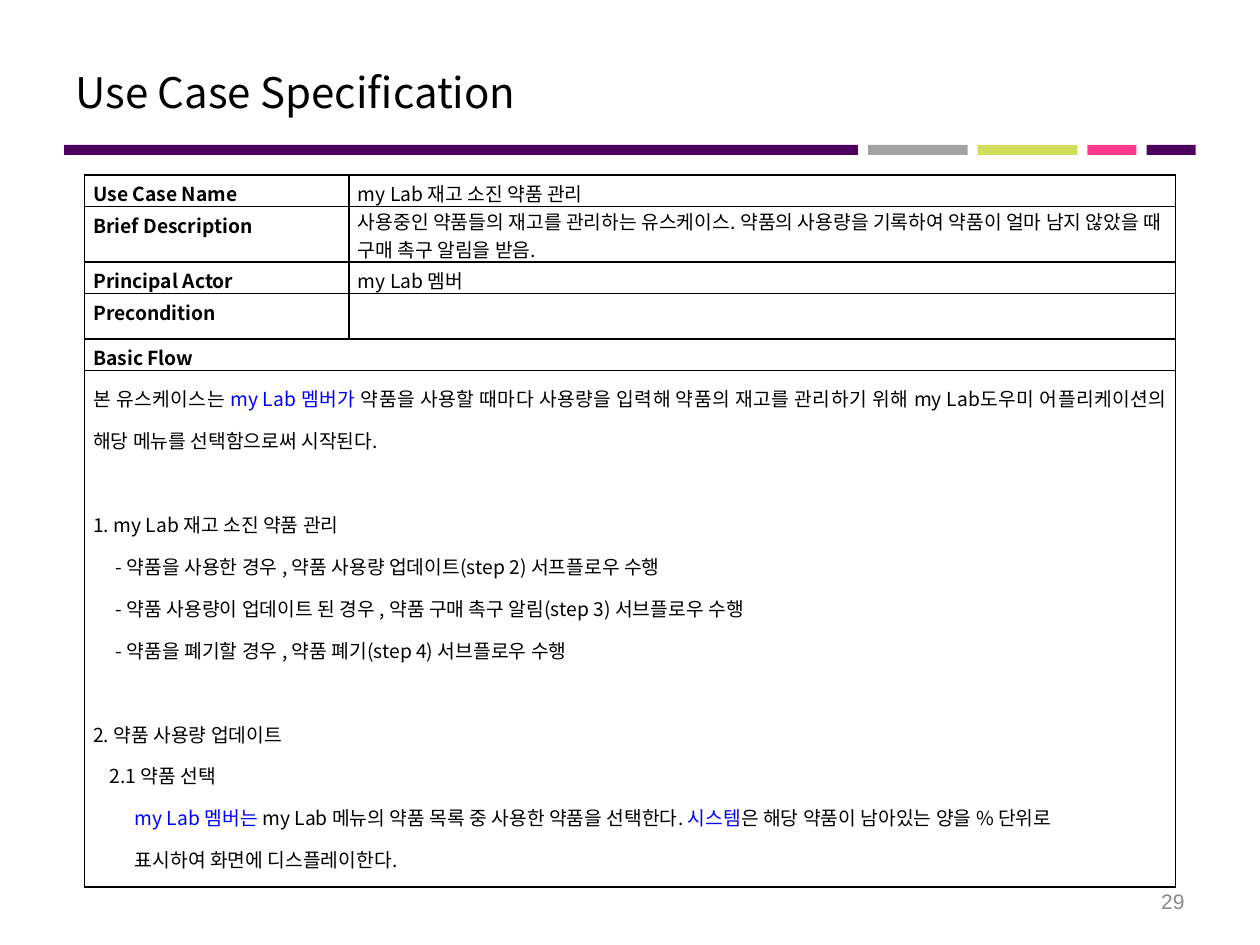
from dataclasses import dataclass

from lxml.etree import SubElement
from pptx import Presentation
from pptx.dml.color import RGBColor
from pptx.enum.shapes import MSO_SHAPE
from pptx.enum.text import MSO_ANCHOR, PP_ALIGN
from pptx.oxml.ns import qn
from pptx.util import Inches, Pt


@dataclass(frozen=True)
class Theme:
    font: str = "Noto Sans CJK KR"
    number_font: str = "Arial"
    title_size: int = 24
    body_size: int = 11
    number_size: int = 12
    black: str = "000000"
    white: str = "FFFFFF"
    blue: str = "0000FF"
    gray: str = "898989"
    purple: str = "4E005F"
    silver: str = "A3A3A3"
    lime: str = "D1DD5B"
    pink: str = "FF388C"


THEME = Theme()

# Content
TITLE = "Use Case Specification"
PAGE_NUMBER = "29"
BARS = [(6.3, THEME.purple), (0.79, THEME.silver), (0.79, THEME.lime),
        (0.39, THEME.pink), (0.39, THEME.purple)]
# Label, value, row height, value format
FIELDS = [
    ("Use Case Name", "my Lab 재고 소진 약품 관리", 0.25, {}),
    ("Brief Description",
     "사용중인 약품들의 재고를 관리하는 유스케이스. 약품의 사용량을 기록하여 "
     "약품이 얼마 남지 않았을 때 구매 촉구 알림을 받음.", 0.44,
     {"align": PP_ALIGN.LEFT, "spacing": 1.0}),
    ("Principal Actor", "my Lab 멤버", 0.25, {}),
    ("Precondition", "", 0.36, {}),
]
FLOW_HEADING, FLOW_HEADING_HEIGHT, FLOW_HEIGHT = "Basic Flow", 0.25, 4.1
# Spans (text or text with colour), left indent in inches, space before in points
FLOW = [
    (["본 유스케이스는 ", ("my Lab 멤버가 ", THEME.blue),
      "약품을 사용할 때마다 사용량을 입력해 약품의 재고를 관리하기 위해 "
      "my Lab도우미 어플리케이션의 해당 메뉴를 선택함으로써 시작된다."], 0, 0),
    (["1. my Lab 재고 소진 약품 관리"], 0, 24),
    (["- 약품을 사용한 경우 , 약품 사용량 업데이트(step 2) 서프플로우 수행"], 0.18, 0),
    (["- 약품 사용량이 업데이트 된 경우 , 약품 구매 촉구 알림(step 3) 서브플로우 수행"], 0.18, 0),
    (["- 약품을 폐기할 경우 , 약품 폐기(step 4) 서브플로우 수행"], 0.18, 0),
    (["2. 약품 사용량 업데이트"], 0, 24),
    (["2.1 약품 선택"], 0.13, 0),
    ([("my Lab 멤버는 ", THEME.blue),
      "my Lab 메뉴의 약품 목록 중 사용한 약품을 선택한다. ",
      ("시스템", THEME.blue), "은 해당 약품이 남아있는 양을 % 단위로"], 0.33, 0),
    (["표시하여 화면에 디스플레이한다."], 0.33, 0),
]


def write(para, spans, *, size=THEME.body_size, font=THEME.font, color=THEME.black,
          bold=False, align=PP_ALIGN.JUSTIFY, spacing=1.15, indent=0, before=0):
    """Fill a paragraph with spans, each a text or a (text, colour) pair."""
    para.alignment = align
    para.line_spacing = spacing
    para.space_before = Pt(before)
    para.font.size = Pt(size)
    if indent:
        para._p.get_or_add_pPr().set("marL", str(Inches(indent)))
    for item in spans:
        text, span_color = item if isinstance(item, tuple) else (item, color)
        span = para.add_run()
        span.text = text
        span.font.name = font
        span.font.size = Pt(size)
        span.font.bold = bold
        span.font.color.rgb = RGBColor.from_string(span_color)
        SubElement(span._r.get_or_add_rPr(), qn("a:ea"), typeface=font)


def add_label(page, text, left, top, width, height, **text_format):
    box = page.shapes.add_textbox(*map(Inches, (left, top, width, height)))
    box.text_frame.word_wrap = True
    box.text_frame.vertical_anchor = MSO_ANCHOR.MIDDLE
    write(box.text_frame.paragraphs[0], [text], spacing=1.0, **text_format)


def style_cell(cell):
    cell.margin_left = cell.margin_right = Inches(0.07)
    cell.margin_top = cell.margin_bottom = 0
    properties = cell._tc.get_or_add_tcPr()
    for side in ("lnL", "lnR", "lnT", "lnB"):
        line = SubElement(properties, qn(f"a:{side}"), w=str(Pt(1)))
        fill = SubElement(line, qn("a:solidFill"))
        SubElement(fill, qn("a:srgbClr"), val=THEME.black)
    cell.fill.solid()
    cell.fill.fore_color.rgb = RGBColor.from_string(THEME.white)


def add_bars(page, left=0.51, top=1.15, height=0.08, gap=0.08):
    for width, color in BARS:
        bar = page.shapes.add_shape(MSO_SHAPE.RECTANGLE,
                                    *map(Inches, (left, top, width, height)))
        bar.shadow.inherit = False
        bar.fill.solid()
        bar.fill.fore_color.rgb = RGBColor.from_string(color)
        bar.line.fill.background()
        left += width + gap


def add_specification(page):
    heights = [field[2] for field in FIELDS] + [FLOW_HEADING_HEIGHT, FLOW_HEIGHT]
    widths = [2.1, 6.56]
    table = page.shapes.add_table(
        len(heights), len(widths), Inches(0.67), Inches(1.39),
        Inches(sum(widths)), Inches(sum(heights))).table
    table.first_row = table.horz_banding = False
    for column, width in zip(table.columns, widths):
        column.width = Inches(width)
    for row, height in zip(table.rows, heights):
        row.height = Inches(height)
    for cell in table.iter_cells():
        style_cell(cell)

    # Label and value rows
    for index, (label, value, _, value_format) in enumerate(FIELDS):
        write(table.cell(index, 0).text_frame.paragraphs[0], [label], bold=True)
        write(table.cell(index, 1).text_frame.paragraphs[0],
              [value] if value else [], **value_format)

    # Full-width flow rows
    heading_row = len(FIELDS)
    flow_row = heading_row + 1
    for index in (heading_row, flow_row):
        table.cell(index, 0).merge(table.cell(index, 1))
    write(table.cell(heading_row, 0).text_frame.paragraphs[0], [FLOW_HEADING], bold=True)
    frame = table.cell(flow_row, 0).text_frame
    for index, (spans, indent, before) in enumerate(FLOW):
        para = frame.add_paragraph() if index else frame.paragraphs[0]
        write(para, spans, spacing=1.5, indent=indent, before=before)


def main():
    deck = Presentation()
    deck.slide_width, deck.slide_height = Inches(10), Inches(7.5)
    page = deck.slides.add_slide(deck.slide_layouts[6])
    add_bars(page)
    add_label(page, TITLE, 0.5, 0.3, 9, 0.85,
              size=THEME.title_size, align=PP_ALIGN.LEFT)
    add_label(page, PAGE_NUMBER, 7.17, 6.95, 2.33, 0.4, size=THEME.number_size,
              font=THEME.number_font, color=THEME.gray, align=PP_ALIGN.RIGHT)
    add_specification(page)
    deck.save("out.pptx")


if __name__ == "__main__":
    main()
